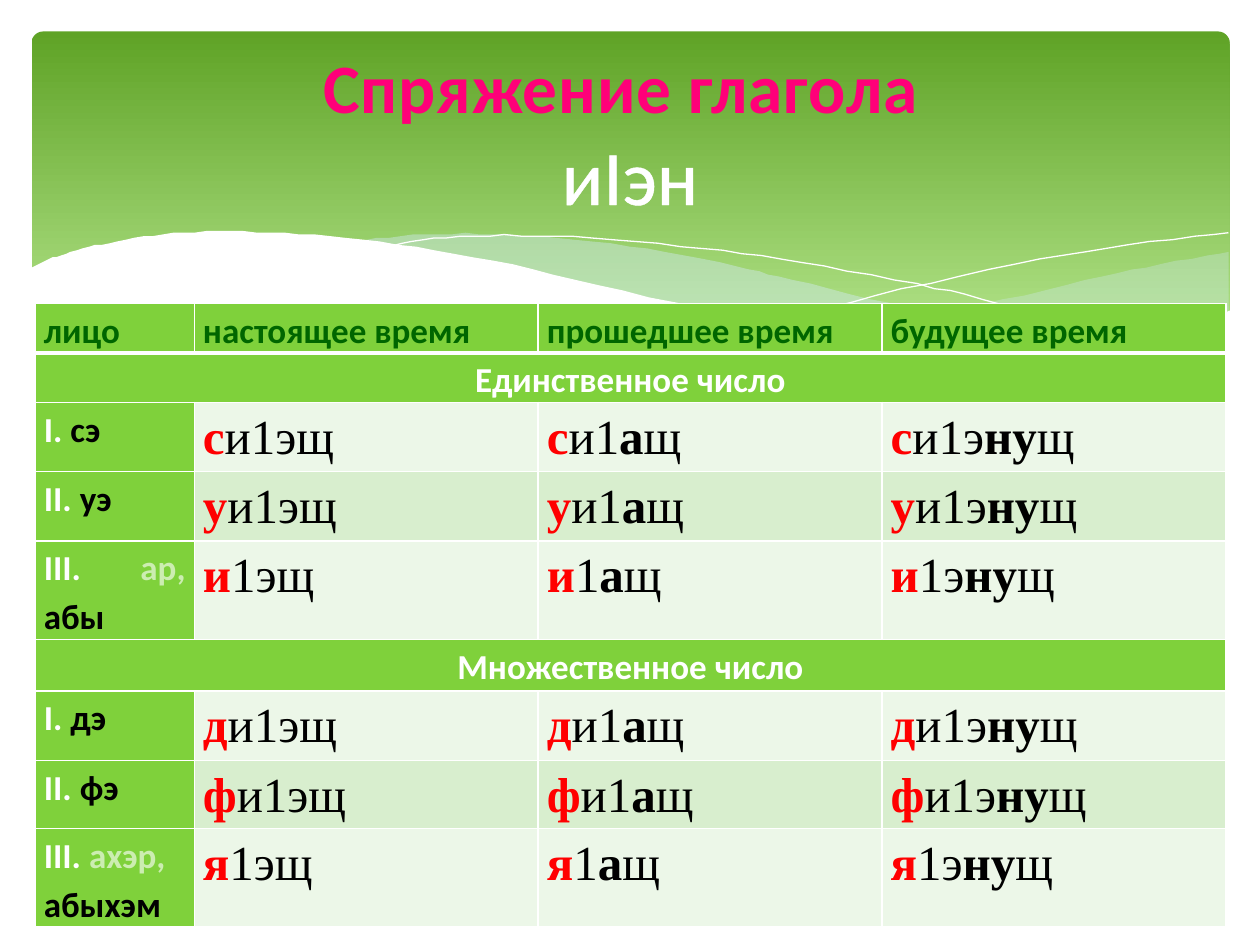
import pptx
import pptx.util
import pptx.dml.color
import pptx.enum.shapes
import pptx.enum.text
import pptx.oxml
import pptx.oxml.ns
import lxml.etree

Pt = pptx.util.Pt
RGB = pptx.dml.color.RGBColor.from_string
ALIGN = pptx.enum.text.PP_ALIGN
qn = pptx.oxml.ns.qn

COLORS = {
    "white": "FFFFFF", "black": "000000", "red": "FF0000",
    "green": "7FD13B", "dark green": "006600", "pale green": "CCEDB1",
    "odd row": "ECF7E8", "even row": "D8EECE", "mist": "D6ECFF",
    "banner top": "5FA326", "banner bottom": "B2E389",
    "pink": "FF0079", "deep pink": "B40055",
}


def smooth(anchors, steps=5):
    padded = [anchors[0], *anchors, anchors[-1]]
    points = [anchors[0]]
    for a, b, c, d in zip(padded, padded[1:], padded[2:], padded[3:]):
        for step in range(1, steps + 1):
            t = step / steps
            points.append(tuple(
                0.5 * (2 * q + (r - p) * t + (2 * p - 5 * q + 4 * r - s) * t ** 2
                       + (3 * q - p - 3 * r + s) * t ** 3)
                for p, q, r, s in zip(a, b, c, d)))
    return points


def write_cell(cell, lines, fill, align, size, face):
    cell.margin_left = cell.margin_right = Pt(5)
    cell.margin_top = cell.margin_bottom = Pt(0)
    cell.fill.solid()
    cell.fill.fore_color.rgb = RGB(COLORS[fill])
    for number, spans in enumerate(lines):
        para = cell.text_frame.add_paragraph() if number else cell.text_frame.paragraphs[0]
        para.alignment = align
        para.line_spacing = 1.15
        para.font.size = Pt(size)
        para.font.name = face
        for text, color, bold in spans:
            span = para.add_run()
            span.text = text
            span.font.color.rgb = RGB(COLORS[color])
            span.font.bold = bold


deck = pptx.Presentation()
deck.slide_width, deck.slide_height = Pt(720), Pt(540)
page = deck.slides.add_slide(deck.slide_layouts[6])

banner = page.shapes.add_shape(
    pptx.enum.shapes.MSO_SHAPE.ROUNDED_RECTANGLE, Pt(18), Pt(18), Pt(684.7), Pt(194.4))
banner.adjustments[0] = 0.034
banner.shadow.inherit = False
banner.line.fill.background()
banner.fill.gradient()
banner.fill.gradient_angle = 270
for stop, name, position in zip(banner.fill.gradient_stops, ("banner top", "banner bottom"), (0, 0.9)):
    stop.color.rgb = RGB(COLORS[name])
    stop.position = position

right_wave = (
    smooth([(702.5, 144), (663, 151), (620, 160.5), (561, 174), (508, 185), (476, 191)])
    + smooth([(476, 191), (518, 196), (562, 199.5), (601, 199.5), (640, 196),
              (673, 188.5), (702.5, 178)]))
middle_wave = (
    smooth([(206, 137.5), (236, 134.5), (274, 133.5), (318, 136), (370, 142.5), (420.5, 152),
            (453, 160), (508, 173), (558, 183), (603, 191), (643, 196.5)])
    + smooth([(643, 196.5), (610.5, 199.5), (573, 200), (530, 198), (479, 191.5), (420.5, 181.5),
              (353.5, 167), (307.5, 155.5), (260.5, 146), (206, 137.5)]))
falling_line = smooth([(222.5, 140.5), (248, 136.5), (288.5, 134.5), (338, 136), (401, 142),
                       (458, 150), (523.5, 162.5), (572.5, 173.5), (653, 196)])
rising_line = smooth([(441.5, 185), (500.5, 169), (580, 151), (644, 140), (702, 133)])
white_wave = smooth([
    (703.5, 177), (669.5, 188.5), (630, 196.5), (582.5, 199.5), (536, 197.5), (481, 191),
    (417, 180), (342, 163), (281.5, 149), (227.5, 139.5), (180, 134.5), (139, 132.5),
    (105, 133), (76.5, 136), (54.5, 140.5), (37.5, 145), (26, 149), (16.5, 153.5),
]) + [(16.5, 237), (703.5, 237)]

for points, fill, opacity in [
    (right_wave, "mist", 29), (middle_wave, "mist", 40),
    (falling_line, None, 100), (rising_line, None, 100), (white_wave, "white", 100),
]:
    builder = page.shapes.build_freeform(*points[0], scale=Pt(1))
    builder.add_line_segments(points[1:], close=fill is not None)
    wave = builder.convert_to_shape()
    wave.shadow.inherit = False
    if fill:
        wave.line.fill.background()
        wave.fill.solid()
        wave.fill.fore_color.rgb = RGB(COLORS[fill])
        color_element = wave.fill._xPr.find(qn("a:solidFill"))[0]
        if opacity < 100:
            lxml.etree.SubElement(color_element, qn("a:alpha"), val=str(opacity * 1000))
    else:
        wave.fill.background()
        wave.line.color.rgb = RGB(COLORS["white"])
        wave.line.width = Pt(0)

heights = [28, 28, 39.6, 39.6, 51, 29.5, 39.6, 39, 51]
table = page.shapes.add_table(9, 4, Pt(20), Pt(173.5), Pt(680.5), Pt(sum(heights))).table
table.first_row = table.horz_banding = False
for column, width in zip(table.columns, [91, 196.5, 196.5, 196.5]):
    column.width = Pt(width)
for row, height in zip(table.rows, heights):
    row.height = Pt(height)

for row in range(9):
    for column in range(4):
        properties = table.cell(row, column)._tc.get_or_add_tcPr()
        for side in "LRTB":
            thick = (row, side) in [(0, "B"), (1, "T")]
            border = lxml.etree.SubElement(
                properties, qn("a:ln" + side), w=str(Pt(3 if thick else 1)))
            paint = lxml.etree.SubElement(border, qn("a:solidFill"))
            lxml.etree.SubElement(paint, qn("a:srgbClr"), val=COLORS["white"])

headings = ["лицо", "настоящее время", "прошедшее время", "будущее время"]
for column, heading in enumerate(headings):
    write_cell(table.cell(0, column), [[(heading, "dark green", True)]],
               "green", ALIGN.JUSTIFY, 20, "Calibri")

for row, number_name in [(1, "Единственное число"), (5, "Множественное число")]:
    table.cell(row, 0).merge(table.cell(row, 3))
    write_cell(table.cell(row, 0), [[(number_name, "white", True)]],
               "green", ALIGN.CENTER, 20, "Calibri")

persons = [
    (2, "I. ", "", "сэ", "с", "и1"),
    (3, "II. ", "", "уэ", "у", "и1"),
    (4, "III. ", "ар, ", "абы", "и", "1"),
    (6, "I. ", "", "дэ", "д", "и1"),
    (7, "II. ", "", "фэ", "ф", "и1"),
    (8, "III. ", "ахэр,", "абыхэм", "я", "1"),
]
for row, numeral, pale, pronoun, prefix, stem in persons:
    opening = [(numeral, "white", True)]
    if pale:
        opening.append((pale, "pale green", True))
    ending = [(pronoun, "black", True)]
    lines = [opening, ending] if row == 8 else [opening + ending]
    write_cell(table.cell(row, 0), lines, "green", ALIGN.JUSTIFY, 20, "Calibri")

    tenses = [
        [(stem + "эщ", "black", False)],
        [(stem, "black", False), ("а", "black", True), ("щ", "black", False)],
        [(stem + "э", "black", False), ("ну", "black", True), ("щ", "black", False)],
    ]
    band = "even row" if row in (3, 7) else "odd row"
    for column, spans in enumerate(tenses, 1):
        write_cell(table.cell(row, column), [[(prefix, "red", True)] + spans],
                   band, ALIGN.JUSTIFY, 28, "Times New Roman")

hanging = table.cell(6, 0).text_frame.paragraphs[0]._p.get_or_add_pPr()
hanging.set("marL", str(Pt(18)))
hanging.set("indent", str(Pt(-18)))

title = page.shapes.add_textbox(Pt(36), Pt(26.5), Pt(648), Pt(98.5))
frame = title.text_frame
frame.word_wrap = True
frame.vertical_anchor = pptx.enum.text.MSO_ANCHOR.MIDDLE
para = frame.paragraphs[0]
para.alignment = ALIGN.CENTER
para.font.name = "Calibri"

span = para.add_run()
span.text = "Спряжение глагола "
span.font.size = Pt(39.6)
span.font.bold = True
span.font.fill.gradient()
span.font.fill.gradient_angle = 270
for stop, name, position in zip(span.font.fill.gradient_stops, ("pink", "deep pink"), (0.25, 1)):
    stop.color.rgb = RGB(COLORS[name])
    stop.position = position
span._r.get_or_add_rPr().set("spc", "50")
para.add_line_break()

span = para.add_run()
span.text = "иIэн"
span.font.size = Pt(44.1)
span.font.bold = False
span.font.color.rgb = RGB(COLORS["white"])
outline = lxml.etree.Element(qn("a:ln"), w=str(Pt(1.45)))
paint = lxml.etree.SubElement(outline, qn("a:solidFill"))
lxml.etree.SubElement(paint, qn("a:srgbClr"), val=COLORS["white"])
span._r.get_or_add_rPr().insert(0, outline)

deck.save("out.pptx")
